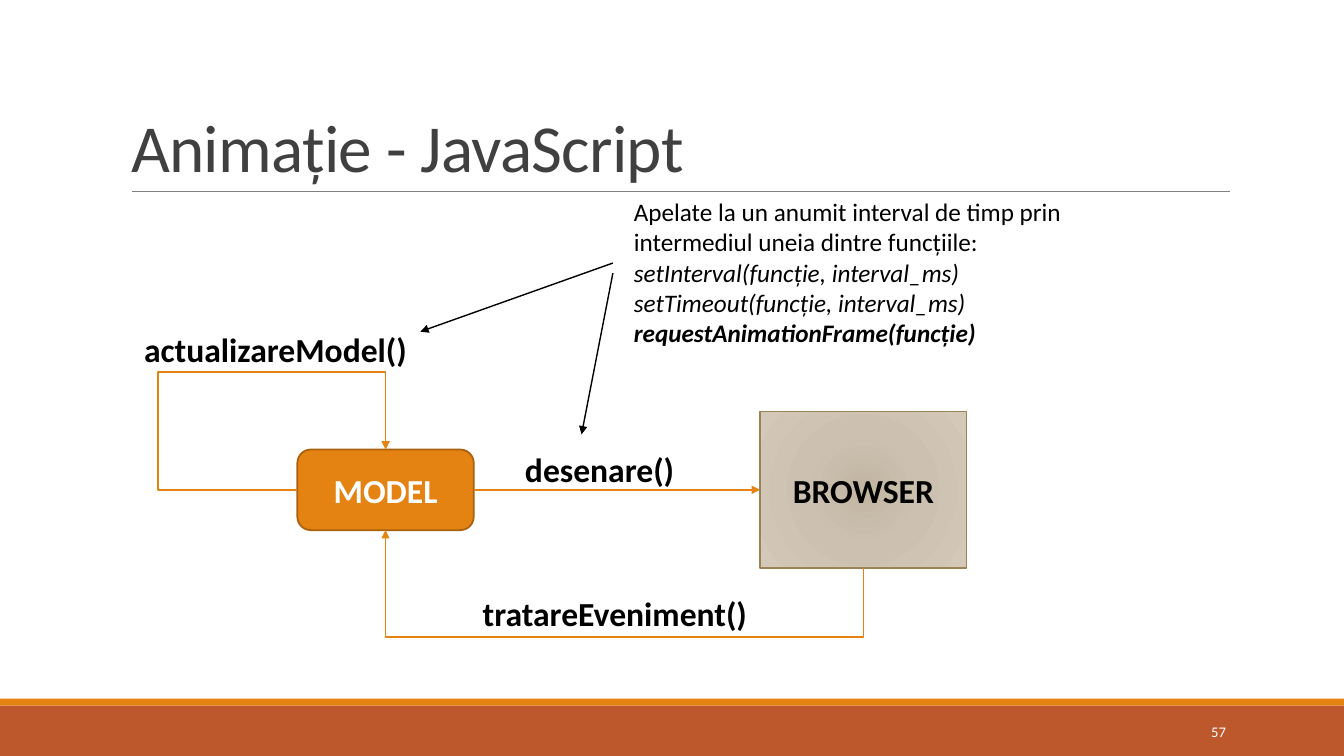
from dataclasses import dataclass

from lxml import etree
from pptx import Presentation
from pptx.dml.color import RGBColor
from pptx.enum.shapes import MSO_CONNECTOR, MSO_SHAPE
from pptx.enum.text import MSO_ANCHOR, MSO_AUTO_SIZE, PP_ALIGN
from pptx.oxml import parse_xml
from pptx.oxml.ns import nsdecls, qn
from pptx.util import Pt

STRAIGHT, ELBOW = MSO_CONNECTOR.STRAIGHT, MSO_CONNECTOR.ELBOW
RECTANGLE, ROUNDED = MSO_SHAPE.RECTANGLE, MSO_SHAPE.ROUNDED_RECTANGLE
TOP, MIDDLE, BOTTOM = MSO_ANCHOR.TOP, MSO_ANCHOR.MIDDLE, MSO_ANCHOR.BOTTOM
LEFT, CENTER, RIGHT = PP_ALIGN.LEFT, PP_ALIGN.CENTER, PP_ALIGN.RIGHT
TOP_SIDE, LEFT_SIDE, BOTTOM_SIDE, RIGHT_SIDE = range(4)


@dataclass(frozen=True)
class Theme:
    font: str = "Calibri"
    title_size: float = 48
    label_size: float = 24
    note_size: float = 18
    number_size: float = 10.5
    title: str = "404040"
    text: str = "000000"
    light: str = "FFFFFF"
    accent: str = "E48312"
    accent_edge: str = "A9610D"
    footer: str = "BD582C"
    rule: str = "808080"
    browser_edge: str = "9B8357"
    browser_stops: tuple = ((0, "C2B5A2"), (45, "CCC1B1"), (100, "D4C8B8"))


THEME = Theme()


def rgb(value):
    return RGBColor.from_string(value)


def style(paragraph, size, color, bold=False, italic=False, align=LEFT):
    paragraph.alignment = align
    font = paragraph.font
    font.name, font.size = THEME.font, Pt(size)
    font.bold, font.italic = bold, italic
    font.color.rgb = rgb(color)


def set_line(shape, color, width):
    shape.line.color.rgb = rgb(color)
    shape.line.width = Pt(width)


def add_title(slide, text):
    title = slide.shapes.title
    title.left, title.top, title.width, title.height = Pt(86.4), Pt(22.3), Pt(792), Pt(114.5)
    frame = title.text_frame
    frame.text = text
    frame.auto_size = MSO_AUTO_SIZE.NONE
    frame.vertical_anchor = BOTTOM
    heading = frame.paragraphs[0]
    style(heading, THEME.title_size, THEME.title)
    heading.line_spacing = 0.85
    heading.runs[0].font._element.set("spc", "-50")


def add_bar(slide, top, height, color):
    bar = slide.shapes.add_shape(RECTANGLE, 0, Pt(top), Pt(960), Pt(height))
    bar.shadow.inherit = False
    bar.fill.solid()
    bar.fill.fore_color.rgb = rgb(color)
    bar.line.fill.background()


def add_node(slide, kind, box, text, color, edge, edge_width):
    node = slide.shapes.add_shape(kind, *map(Pt, box))
    node.shadow.inherit = False
    set_line(node, edge, edge_width)
    node.text_frame.text = text
    node.text_frame.vertical_anchor = MIDDLE
    style(node.text_frame.paragraphs[0], THEME.label_size, color, bold=True, align=CENTER)
    return node


def fill_radial(shape, stops):
    stop_xml = "".join(
        f'<a:gs pos="{position * 1000}"><a:srgbClr val="{color}"/></a:gs>'
        for position, color in stops)
    gradient = parse_xml(
        f'<a:gradFill {nsdecls("a")} rotWithShape="1"><a:gsLst>{stop_xml}</a:gsLst>'
        '<a:path path="circle"><a:fillToRect l="100000" t="100000" r="100000" b="100000"/>'
        '</a:path></a:gradFill>')
    shape.element.spPr.find(qn("a:prstGeom")).addnext(gradient)


def add_text(slide, box, lines, size, color, anchor=TOP, align=LEFT):
    """Add a text box; each line is (text, bold, italic)."""
    frame = slide.shapes.add_textbox(*map(Pt, box)).text_frame
    frame.word_wrap = True
    frame.vertical_anchor = anchor
    for index, (text, bold, italic) in enumerate(lines):
        paragraph = frame.add_paragraph() if index else frame.paragraphs[0]
        paragraph.text = text
        style(paragraph, size, color, bold, italic, align)


def add_line(slide, kind, start, end, color, width=1, arrow=True):
    line = slide.shapes.add_connector(kind, *map(Pt, (*start, *end)))
    set_line(line, color, width)
    if arrow:
        etree.SubElement(line.line._get_or_add_ln(), qn("a:tailEnd"), type="triangle")
    etree.SubElement(line.element.spPr, qn("a:effectLst"))
    return line


def join(slide, source, source_side, target, target_side, kind=ELBOW):
    link = add_line(slide, kind, (0, 0), (1, 1), THEME.accent)
    link.begin_connect(source, source_side)
    link.end_connect(target, target_side)
    return link


def route(link, preset, rotation, adjustments):
    """Turn an elbow about its centre and push its bends outside its frame."""
    if rotation % 180:
        centre_x, centre_y = link.left + link.width // 2, link.top + link.height // 2
        link.width, link.height = link.height, link.width
        link.left, link.top = centre_x - link.width // 2, centre_y - link.height // 2
    frame = link.element.spPr.find(qn("a:xfrm"))
    frame.rot, frame.flipH, frame.flipV = rotation, True, False
    geometry = link.element.spPr.find(qn("a:prstGeom"))
    geometry.set("prst", preset)
    guides = geometry.find(qn("a:avLst"))
    for index, value in enumerate(adjustments, 1):
        name = f"adj{index}"
        etree.SubElement(guides, qn("a:gd"), name=name, fmla=f"val {round(value * 100000)}")


def main():
    deck = Presentation()
    deck.slide_width, deck.slide_height = Pt(960), Pt(540)
    slide = deck.slides.add_slide(deck.slide_layouts[5])

    add_bar(slide, 504, 36, THEME.footer)
    add_bar(slide, 499, 5, THEME.accent)
    add_line(slide, STRAIGHT, (94.3, 136.8), (878.4, 136.8), THEME.rule, 0.5, arrow=False)
    add_title(slide, "Animație - JavaScript")

    model = add_node(slide, ROUNDED, (212.4, 321.1, 126, 57.6), "MODEL",
                     THEME.light, THEME.accent_edge, 1.25)
    model.fill.solid()
    model.fill.fore_color.rgb = rgb(THEME.accent)
    browser = add_node(slide, RECTANGLE, (542.9, 294.1, 147.6, 111.6), "BROWSER",
                       THEME.text, THEME.browser_edge, 1)
    fill_radial(browser, THEME.browser_stops)

    event = join(slide, browser, BOTTOM_SIDE, model, TOP_SIDE + 2)
    route(event, "bentConnector3", 90, (-1.83,))
    join(slide, model, RIGHT_SIDE, browser, LEFT_SIDE, STRAIGHT)
    update = join(slide, model, LEFT_SIDE, model, TOP_SIDE)
    route(update, "bentConnector4", 180, (-1.58, 2.92))

    for call, left, top in (("actualizareModel()", 95.8, 231.1),
                            ("desenare()", 367.9, 316.8),
                            ("tratareEveniment()", 337.7, 419.8)):
        add_text(slide, (left, top, 242, 36), [(call, True, False)],
                 THEME.label_size, THEME.text)

    add_text(slide, (445.7, 136.8, 321, 116.6), [
        ("Apelate la un anumit interval de timp prin intermediul uneia dintre funcțiile:",
         False, False),
        ("setInterval(funcție, interval_ms)", False, True),
        ("setTimeout(funcție, interval_ms)", False, True),
        ("requestAnimationFrame(funcție)", True, True),
    ], THEME.note_size, THEME.text)
    add_line(slide, STRAIGHT, (437.8, 187.9), (300.2, 236.9), THEME.text)
    add_line(slide, STRAIGHT, (437.8, 195.1), (415.4, 310.3), THEME.text)

    add_text(slide, (779.8, 508.3, 103, 28.8), [("57", False, False)],
             THEME.number_size, THEME.light, MIDDLE, RIGHT)
    deck.save("out.pptx")


if __name__ == "__main__":
    main()
